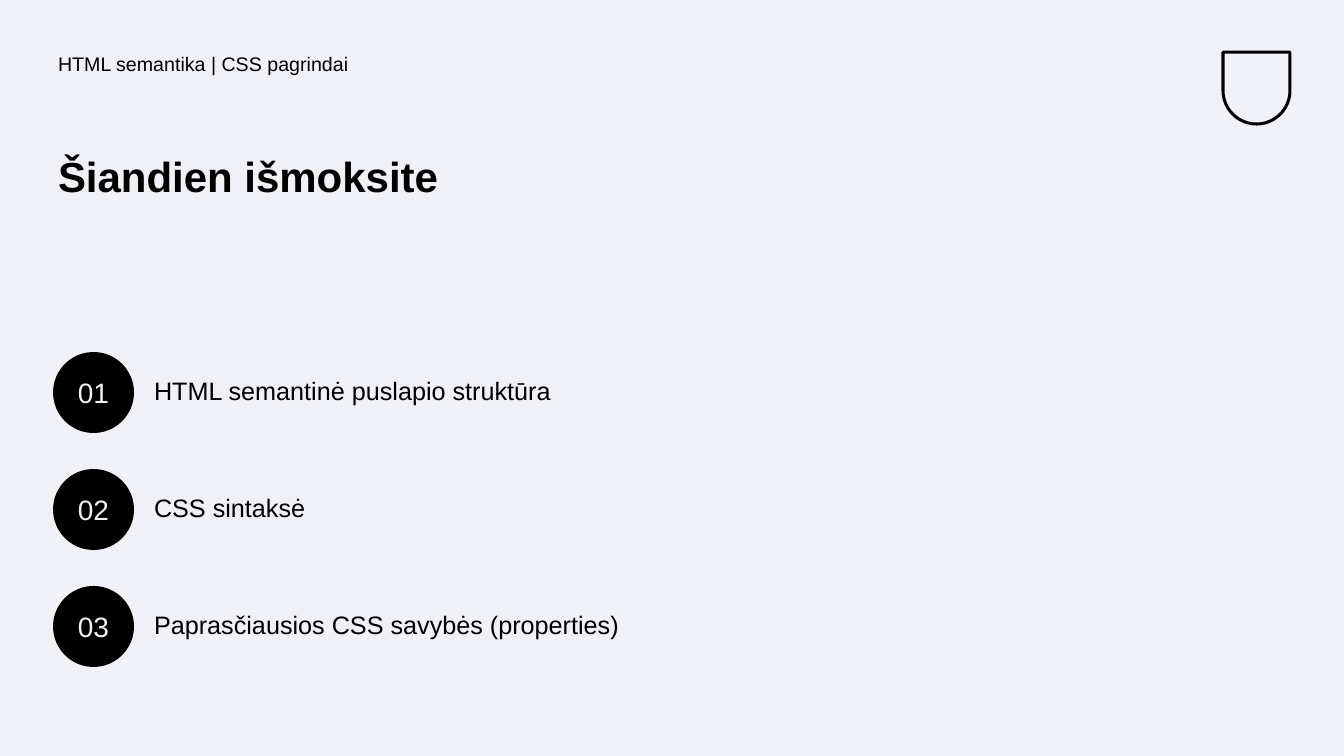
from pptx import Presentation
from pptx.dml.color import RGBColor
from pptx.enum.shapes import MSO_SHAPE
from pptx.enum.text import MSO_ANCHOR, MSO_AUTO_SIZE, PP_ALIGN
from pptx.oxml.xmlchemy import OxmlElement
from pptx.util import Pt

# Content
HEADER = "HTML semantika | CSS pagrindai"
TITLE = "Šiandien išmoksite"
TOPICS = [
    "HTML semantinė puslapio struktūra",
    "CSS sintaksė",
    "Paprasčiausios CSS savybės (properties)",
]

# Look and layout, in pixels
INK = RGBColor(0x00, 0x00, 0x00)
PAPER = RGBColor(0xF0, 0xF1, 0xF6)
FONT = "Arial"
PX = 914400 / 100.8
LEFT, INSET = 53, 5
ROW_TOP, ROW_STEP = 352, 117
CIRCLE = 81
TOPIC_LEFT, TOPIC_DROP = 149, 18


def px(*lengths):
    return [round(n * PX) for n in lengths]


def place(s, *box):
    s.left, s.top, s.width, s.height = px(*box)


def write(s, text, size, color=INK, bold=False, align=PP_ALIGN.LEFT,
          anchor=MSO_ANCHOR.TOP, spacing=1.0):
    tf = s.text_frame
    tf.text = text
    tf.word_wrap = True
    tf.auto_size = MSO_AUTO_SIZE.NONE
    tf.vertical_anchor = anchor
    tf.margin_left, tf.margin_top, tf.margin_right, tf.margin_bottom = px(*[INSET] * 4)
    p = tf.paragraphs[0]
    p.alignment = align
    p.line_spacing = spacing
    p.space_before = Pt(0)
    p.font.name, p.font.size, p.font.bold = FONT, Pt(size), bold
    p.font.color.rgb = color
    return p


def remove_bullet(p):
    pPr = p._p.get_or_add_pPr()
    pPr.set("marL", "0")
    pPr.set("indent", "0")
    pPr.insert_element_before(OxmlElement("a:buNone"), "a:tabLst", "a:defRPr", "a:extLst")


prs = Presentation()
prs.slide_width, prs.slide_height = px(1344, 756)
slide = prs.slides.add_slide(prs.slide_layouts[4])
slide.background.fill.solid()
slide.background.fill.fore_color.rgb = PAPER

# Plain shield in place of the emblem
shield = slide.shapes.add_shape(MSO_SHAPE.ROUND_2_SAME_RECTANGLE, *px(1223, 52, 67, 72))
shield.rotation = 180
shield.adjustments[0] = 0.5
shield.shadow.inherit = False
shield.fill.background()
shield.line.color.rgb = INK
shield.line.width = px(3)[0]

# Header and title
header = slide.shapes.add_textbox(*px(LEFT, 50, 687, 50))
write(header, HEADER, 14, spacing=0.9)
title = slide.shapes.title
place(title, LEFT, 151, 569, 150)
write(title, TITLE, 30, bold=True, spacing=0.9)

# Numbered topics
bodies = [s for s in slide.placeholders if s.placeholder_format.idx in (1, 2, 3, 4)]
for i, (topic, body) in enumerate(zip(TOPICS, bodies)):
    top = ROW_TOP + i * ROW_STEP
    place(body, TOPIC_LEFT, top + TOPIC_DROP, 510, 45)
    remove_bullet(write(body, topic, 18))

    circle = slide.shapes.add_shape(MSO_SHAPE.OVAL, *px(LEFT, top, CIRCLE, CIRCLE))
    circle.shadow.inherit = False
    circle.fill.solid()
    circle.fill.fore_color.rgb = INK
    circle.line.fill.background()
    write(circle, f"{i + 1:02}", 20, PAPER, align=PP_ALIGN.CENTER, anchor=MSO_ANCHOR.MIDDLE)

# Unused placeholders
for s in bodies[len(TOPICS):]:
    s.element.getparent().remove(s.element)

prs.save("out.pptx")
